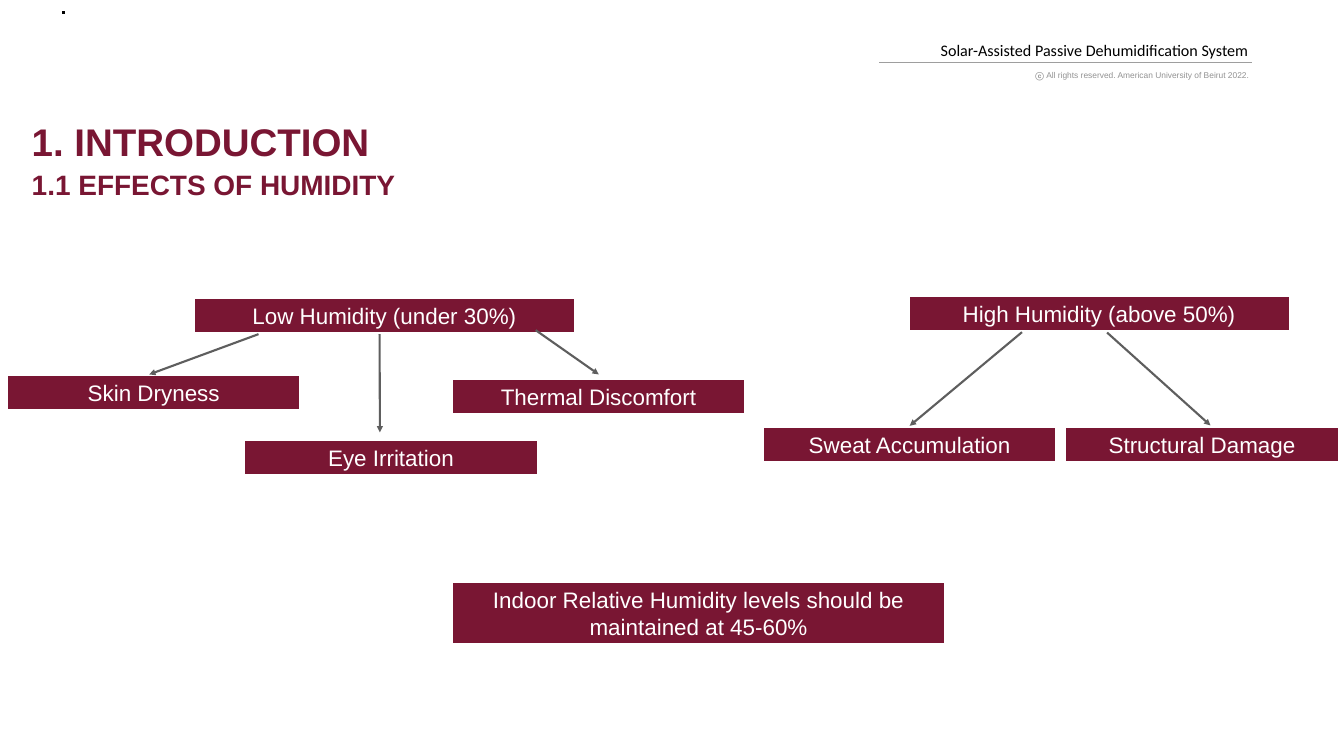
from lxml import etree
from pptx import Presentation
from pptx import util as u
from pptx.dml import color
from pptx.enum import shapes, text
from pptx.oxml import ns

MAROON, GREY, WHITE, BLACK = "791633", "5E5E5E", "FFFFFF", "000000"
ROW = 1.65
EFFECT_WIDTH = 14.68
BOXES = [
    ("Low Humidity (under 30%)", 9.83, 15.09, 19.1, ROW),
    ("High Humidity (above 50%)", 45.85, 14.99, 19.1, ROW),
    ("Skin Dryness", 0.41, 18.97, EFFECT_WIDTH, ROW),
    ("Eye Irritation", 12.37, 22.23, EFFECT_WIDTH, ROW),
    ("Thermal Discomfort", 22.83, 19.15, EFFECT_WIDTH, ROW),
    ("Sweat Accumulation", 38.51, 21.59, EFFECT_WIDTH, ROW),
    ("Structural Damage", 53.72, 21.59, 13.74, ROW),
    ("Indoor Relative Humidity levels should be maintained at 45-60%",
     22.83, 29.39, 24.77, 3.02),
]
ARROWS = [
    (13.03, 16.84, 7.52, 18.87),
    (19.13, 16.84, 19.15, 21.79),
    (27, 16.64, 30.18, 18.87),
    (51.51, 16.74, 45.85, 21.46),
    (55.8, 16.76, 61.01, 21.44),
]


def rgb(value):
    """Turn a hex string into a colour."""
    return color.RGBColor.from_string(value)


def set_font(font, size, value, name="Arial", bold=False):
    """Set the size, colour, face and weight of a font."""
    font.size, font.name, font.bold = u.Pt(size), name, bold
    font.color.rgb = rgb(value)


def set_margins(frame, margin):
    """Give all four sides of a text frame the same margin."""
    frame.margin_left = frame.margin_right = u.Cm(margin)
    frame.margin_top = frame.margin_bottom = u.Cm(margin)


def add_block(slide, left, top, width, height, fill):
    """Add a plain filled process shape."""
    shape = slide.shapes.add_shape(
        shapes.MSO_SHAPE.FLOWCHART_PROCESS,
        u.Cm(left), u.Cm(top), u.Cm(width), u.Cm(height))
    shape.shadow.inherit = False
    shape.fill.solid()
    shape.fill.fore_color.rgb = rgb(fill)
    shape.line.fill.background()
    return shape


def add_box(slide, label, left, top, width, height):
    """Add a maroon box with a centred label."""
    frame = add_block(slide, left, top, width, height, MAROON).text_frame
    frame.text = label
    frame.word_wrap = True
    frame.vertical_anchor = text.MSO_ANCHOR.MIDDLE
    frame.auto_size = text.MSO_AUTO_SIZE.SHAPE_TO_FIT_TEXT
    set_margins(frame, 0.15)
    paragraph = frame.paragraphs[0]
    paragraph.alignment = text.PP_ALIGN.CENTER
    set_font(paragraph.runs[0].font, 32, WHITE)


def add_text(slide, left, top, width, height):
    """Add an empty text box that grows with its text."""
    frame = slide.shapes.add_textbox(
        u.Cm(left), u.Cm(top), u.Cm(width), u.Cm(height)).text_frame
    frame.auto_size = text.MSO_AUTO_SIZE.SHAPE_TO_FIT_TEXT
    return frame


def add_heading(slide, label, top, height, size):
    """Add a bold maroon heading at the left margin."""
    frame = add_text(slide, 1.35, top, 33.88, height)
    frame.word_wrap = True
    frame.text = label
    paragraph = frame.paragraphs[0]
    paragraph.line_spacing = 0.9
    set_font(paragraph.runs[0].font, size, MAROON, bold=True)


def add_header_text(slide, runs, left, top, width, height):
    """Add a right-aligned header line made of runs with their font settings."""
    frame = add_text(slide, left, top, width, height)
    frame.word_wrap = False
    set_margins(frame, 0.15)
    paragraph = frame.paragraphs[0]
    paragraph.alignment = text.PP_ALIGN.RIGHT
    for label, settings in runs:
        run = paragraph.add_run()
        run.text = label
        set_font(run.font, *settings)


def add_line(slide, points, value, width, arrow=False):
    """Add a straight line, with an arrowhead at its end if asked."""
    line = slide.shapes.add_connector(
        shapes.MSO_CONNECTOR.STRAIGHT, *[u.Cm(point) for point in points])
    line.line.color.rgb = rgb(value)
    line.line.width = u.Pt(width)
    properties = line._element.spPr
    if arrow:
        outline = properties.find(ns.qn("a:ln"))
        etree.SubElement(outline, ns.qn("a:tailEnd"), type="triangle")
    etree.SubElement(properties, ns.qn("a:effectLst"))


def main():
    """Build the humidity effects slide."""
    presentation = Presentation()
    presentation.slide_width, presentation.slide_height = u.Cm(67.74), u.Cm(38.1)
    slide = presentation.slides.add_slide(presentation.slide_layouts[6])

    add_header_text(
        slide,
        [("Solar-Assisted Passive Dehumidification System", (23, BLACK, "Calibri"))],
        45.69, 1.88, 17.4, 1.27)
    add_header_text(
        slide,
        [("ⓒ ", (12, "929292", "Arial", True)),
         ("All rights reserved. American University of Beirut 2022.", (12, "929292"))],
        51.84, 3.4, 11.28, 0.79)
    add_line(slide, (44.32, 3.15, 63.09, 3.15), "9E9E9E", 2)
    add_block(slide, 3.15, 0.56, 0.13, 0.13, BLACK)
    add_heading(slide, "1. INTRODUCTION", 6.1, 2.36, 55)
    add_heading(slide, "1.1 EFFECTS OF HUMIDITY", 8.53, 1.8, 40)
    for box in BOXES:
        add_box(slide, *box)
    for points in ARROWS:
        add_line(slide, points, GREY, 3, arrow=True)

    presentation.save("out.pptx")


if __name__ == "__main__":
    main()
